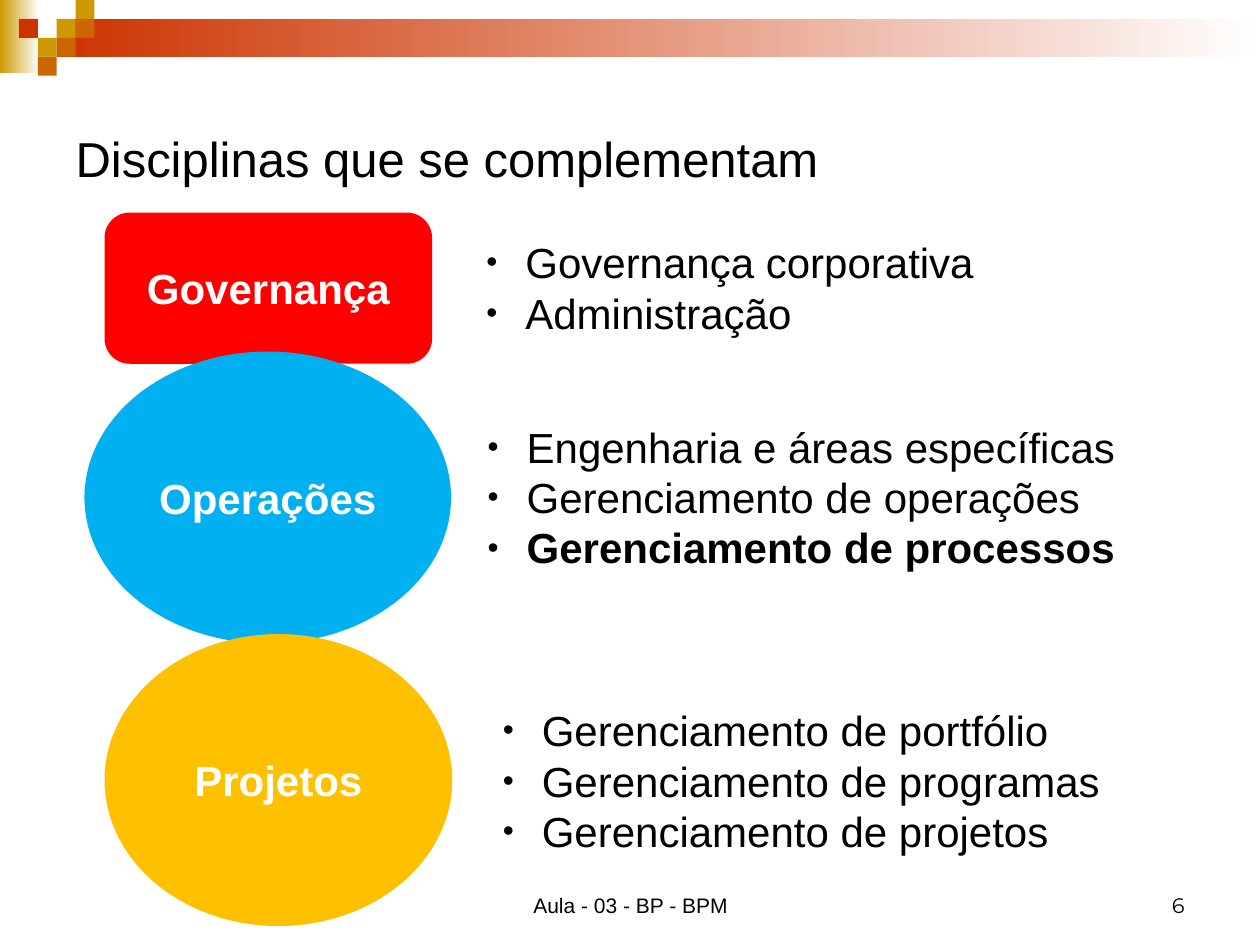
from lxml import etree
from pptx import Presentation
from pptx.dml.color import RGBColor
from pptx.enum.shapes import MSO_SHAPE
from pptx.enum.text import MSO_ANCHOR, MSO_AUTO_SIZE, PP_ALIGN
from pptx.oxml.ns import qn
from pptx.util import Inches, Pt

RECT, ROUNDED, OVAL = MSO_SHAPE.RECTANGLE, MSO_SHAPE.ROUNDED_RECTANGLE, MSO_SHAPE.OVAL
TOP, MIDDLE, BOTTOM = MSO_ANCHOR.TOP, MSO_ANCHOR.MIDDLE, MSO_ANCHOR.BOTTOM
LEFT, CENTER, RIGHT = PP_ALIGN.LEFT, PP_ALIGN.CENTER, PP_ALIGN.RIGHT
NO_FIT = MSO_AUTO_SIZE.NONE

THEME = {
    "gold": "CC9900", "rust": "CC3300", "orange": "CC6600",
    "red": "FF0000", "blue": "00B0F0", "amber": "FFC000",
    "text": "000000", "white": "FFFFFF",
    "font": "Arial", "number_font": "Montserrat",
    "title": 28, "body": 24, "footer": 12,
}

prs = Presentation()
prs.slide_width, prs.slide_height = Inches(10), Inches(7.5)
COMPARISON = prs.slide_layouts[4]
s = prs.slides.add_slide(COMPARISON)


def add_block(kind, box, color, fade=False):
    """Add a plain shape; box is in percent of the slide's size."""
    x, y, w, h = box
    sp = s.shapes.add_shape(kind, *(int(prs.slide_width * x / 100), int(prs.slide_height * y / 100),
                                    int(prs.slide_width * w / 100), int(prs.slide_height * h / 100)))
    sp.shadow.inherit = False
    sp.line.fill.background()
    if fade:
        sp.fill.gradient()
        sp.fill.gradient_angle = 0
        for stop, name in zip(sp.fill.gradient_stops, (color, "white")):
            stop.color.rgb = RGBColor.from_string(THEME[name])
    else:
        sp.fill.solid()
        sp.fill.fore_color.rgb = RGBColor.from_string(THEME[color])
    return sp


def write(sp, lines, size, color="text", font="font", align=LEFT, anchor=MIDDLE,
          bold=(), wrap=True, bullets=False):
    """Fill a shape with one paragraph a line."""
    tf = sp.text_frame
    tf.text = "\n".join(lines)
    for name, value in {"word_wrap": wrap, "auto_size": NO_FIT, "vertical_anchor": anchor}.items():
        setattr(tf, name, value)
    for p in tf.paragraphs:
        if bullets:
            pPr = p._p.get_or_add_pPr()
            pPr.set("marL", str(Inches(0.31)))
            pPr.set("indent", str(-Inches(0.31)))
            bullet_color = etree.SubElement(pPr, qn("a:buClr"))
            etree.SubElement(bullet_color, qn("a:srgbClr"), val=THEME["text"])
            etree.SubElement(pPr, qn("a:buSzPct"), val="75000")
            etree.SubElement(pPr, qn("a:buFont"), typeface=THEME["font"])
            etree.SubElement(pPr, qn("a:buChar"), char="•")
        p.alignment = align
        p.space_before = Pt(0)
        r = p.runs[0]
        for name, value in {"size": Pt(THEME[size]), "name": THEME[font],
                            "bold": r.text in bold}.items():
            setattr(r.font, name, value)
        r.font.color.rgb = RGBColor.from_string(THEME[color])


# Header: two fading bars and a mosaic of square cells
CELL_W, CELL_H = 1.5, 2
add_block(RECT, (0, 0, 3.1, 7.7), "gold", fade=True)
add_block(RECT, (3 * CELL_W, CELL_H, 100 - 3 * CELL_W, 2 * CELL_H), "rust", fade=True)
MOSAIC = [(3, 1, "gold"), (4, 0, "gold"), (4, 1, "orange"), (2, 2, "gold"),
          (1, 1, "rust"), (3, 2, "orange"), (2, 3, "orange")]
for col, row, color in MOSAIC:
    add_block(RECT, (col * CELL_W, row * CELL_H, CELL_W, CELL_H), color)

# Title
title = s.shapes.title
title.left, title.top = int(prs.slide_width * 0.05), int(prs.slide_height / 15)
title.width, title.height = int(prs.slide_width * 0.9), int(prs.slide_height * 0.2)
write(title, ["Disciplinas que se complementam"], "title")

# Disciplines: a coloured shape and its list, boxes in percent of the slide
DISCIPLINES = [
    ("Governança", ROUNDED, "red", (8.3, 22.5, 26, 16), (37.6, 24.4, 40.7, 12),
     ["Governança corporativa", "Administração"]),
    ("Operações", OVAL, "blue", (6.7, 37.2, 29.1, 30.9), (37.7, 43.9, 51.8, 17.3),
     ["Engenharia e áreas específicas", "Gerenciamento de operações",
      "Gerenciamento de processos"]),
    ("Projetos", OVAL, "amber", (8.3, 67.1, 27.6, 30.9), (38.9, 73.9, 49.4, 17.3),
     ["Gerenciamento de portfólio", "Gerenciamento de programas",
      "Gerenciamento de projetos"]),
]
for idx, (label, kind, color, shape_box, list_box, items) in enumerate(DISCIPLINES, start=1):
    sp = add_block(kind, shape_box, color)
    write(sp, [label], "body", "white", align=CENTER, bold=(label,))
    body = s.placeholders[idx]
    x, y, w, h = list_box
    body.left, body.top = int(prs.slide_width * x / 100), int(prs.slide_height * y / 100)
    body.width, body.height = int(prs.slide_width * w / 100), int(prs.slide_height * h / 100)
    write(body, items, "body", anchor=TOP, wrap=False, bullets=True,
          bold=("Gerenciamento de processos",))

# The layout's fourth list is not needed
spare = s.placeholders[4].element
spare.getparent().remove(spare)

# Footer and slide number
FOOTER = [("Aula - 03 - BP - BPM", 34.2, 31.7, "font", CENTER),
          ("6", 71.7, 23.3, "number_font", RIGHT)]
for text, x, w, font, align in FOOTER:
    box = s.shapes.add_textbox(int(prs.slide_width * x / 100), int(prs.slide_height * 0.911),
                               int(prs.slide_width * w / 100), int(prs.slide_height / 15))
    write(box, [text], "footer", font=font, align=align, anchor=BOTTOM)

prs.save("out.pptx")
